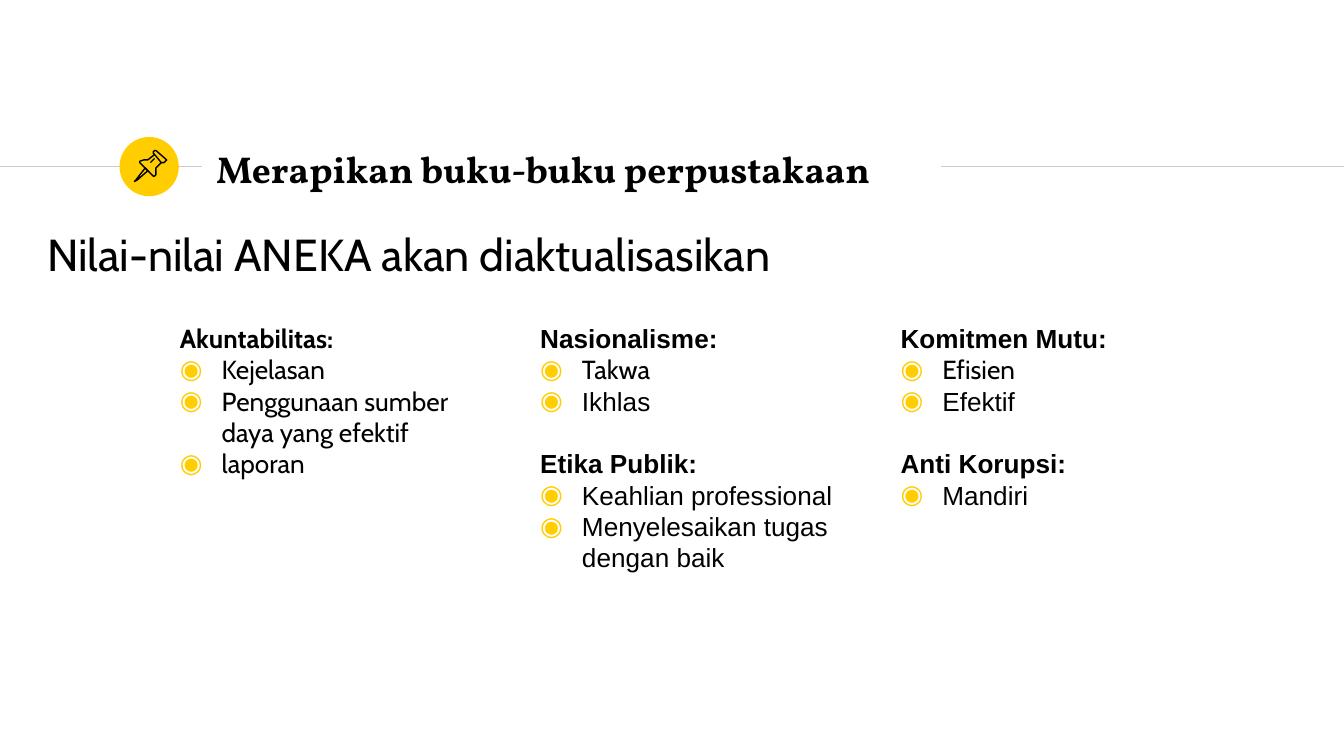
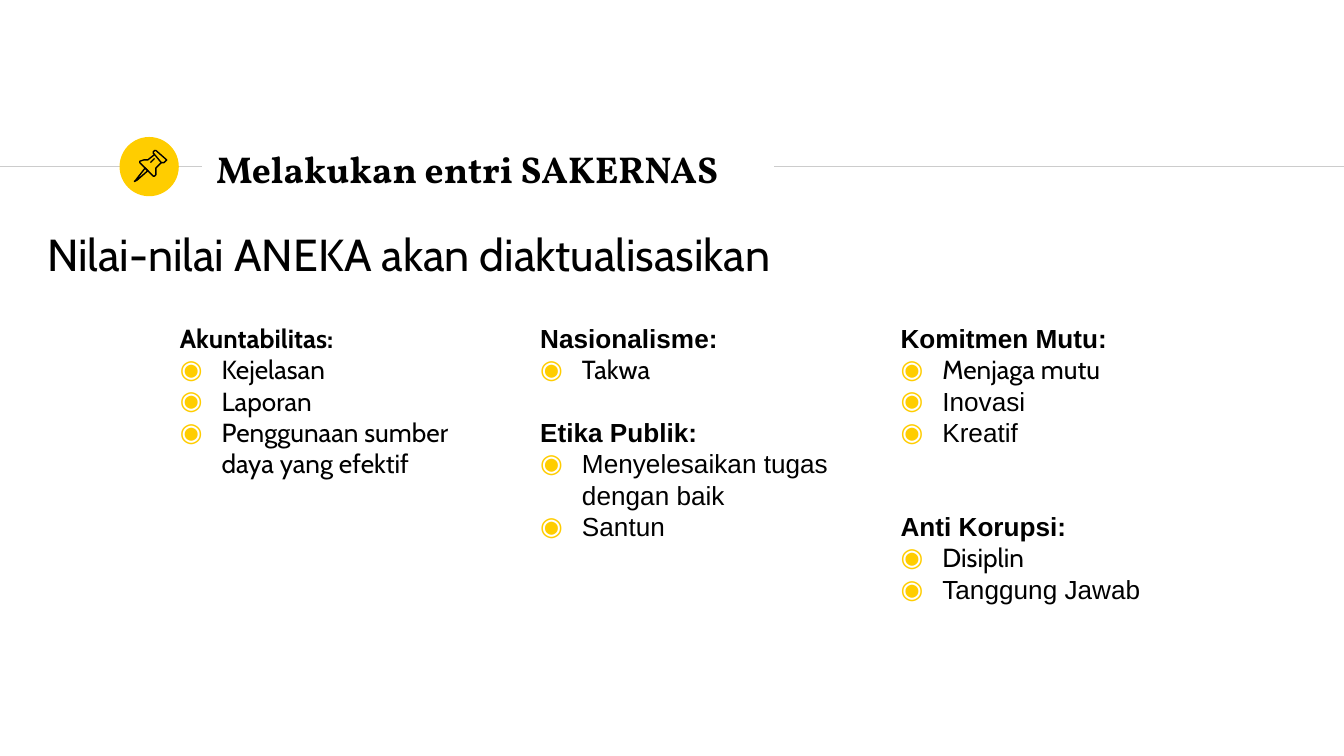
from dataclasses import dataclass, field

from lxml.etree import SubElement
from pptx import Presentation
from pptx.dml.color import RGBColor
from pptx.enum.shapes import MSO_CONNECTOR as Connector, MSO_SHAPE as Preset
from pptx.enum.text import MSO_ANCHOR as Anchor
from pptx.oxml.ns import qn
from pptx.util import Cm, Pt

COLORS = {"ink": "000000", "accent": "FFCD00", "rule": "CCCCCC", "paper": "FFFFFF"}
SERIF, SANS, PLAIN = "Vollkorn", "Cabin", "Arial"
LINE_PITCH = 16.8
INSET = 0.25
BULLET_INDENT = 0.79


@dataclass
class Box:
    """A rectangle in centimetres."""
    left: float
    top: float
    width: float
    height: float

    def lengths(self):
        return Cm(self.left), Cm(self.top), Cm(self.width), Cm(self.height)


@dataclass
class ValueGroup:
    """A heading and its bullets; gap counts the free lines above it."""
    heading: str
    sans: list = field(default_factory=list)
    plain: list = field(default_factory=list)
    heading_font: str = PLAIN
    gap: int = 0


HEADER = Box(0, 2.57, 25.4, 1.22)
SUBTITLE = Box(0, 4.04, 18.14, 1.55)
COLUMNS = [Box(3.15 + 6.81 * index, 5.84, width, height)
           for index, (width, height) in enumerate([(6.48, 6.02), (6.48, 6.02), (7.39, 5.51)])]

# Pushpin outlines on a grid of 44 units across the badge: points, closed
PIN_GRID = 44
PIN_PARTS = [
    ([(19, 23), (12, 32), (11, 33), (13, 32), (21, 25)], True),
    ([(26, 13), (31, 19), (33, 19), (34, 18), (35, 17), (27, 10), (26, 10), (25, 11),
      (25, 12)], True),
    ([(26, 13), (21, 17), (18, 17), (15, 18), (15, 19), (25, 29), (26, 29), (27, 28),
      (27, 23), (31, 19)], False),
    ([(23, 19), (26, 16)], False),
]

SLIDES = [
    {
        "title": "Merapikan buku-buku perpustakaan",
        "title_width": 13.92,
        "mask_width": 3.58,
        "columns": [
            [ValueGroup("Akuntabilitas:",
                        ["Kejelasan", "Penggunaan sumber daya yang efektif", "laporan"],
                        heading_font=SANS)],
            [ValueGroup("Nasionalisme:", ["Takwa"], ["Ikhlas"]),
             ValueGroup("Etika Publik:",
                        plain=["Keahlian professional", "Menyelesaikan tugas dengan baik"],
                        gap=1)],
            [ValueGroup("Komitmen Mutu:", ["Efisien"], ["Efektif"]),
             ValueGroup("Anti Korupsi:", plain=["Mandiri"], gap=1)],
        ],
    },
    {
        "title": "Melakukan entri SAKERNAS",
        "title_width": 14.3,
        "mask_width": 0.33,
        "columns": [
            [ValueGroup("Akuntabilitas:",
                        ["Kejelasan", "Laporan", "Penggunaan sumber daya yang efektif"],
                        heading_font=SANS)],
            [ValueGroup("Nasionalisme:", ["Takwa"]),
             ValueGroup("Etika Publik:",
                        plain=["Menyelesaikan tugas dengan baik", "Santun"], gap=1)],
            [ValueGroup("Komitmen Mutu:", ["Menjaga mutu"], ["Inovasi", "Kreatif"]),
             ValueGroup("Anti Korupsi:", ["Disiplin"], ["Tanggung Jawab"], gap=2)],
        ],
    },
]


def color(name):
    return RGBColor.from_string(COLORS[name])


def add_frame(page, box, anchor=Anchor.TOP):
    frame = page.shapes.add_textbox(*box.lengths()).text_frame
    frame.word_wrap = True
    frame.vertical_anchor = anchor
    frame.margin_left = frame.margin_right = Cm(INSET)
    frame.margin_top = frame.margin_bottom = Cm(INSET)
    return frame


def add_text(frame, text, *, font, size, bold=False, indent=0, bullet=None,
             pitch=None, before=0):
    """Write one paragraph, using the frame's empty first one if it is free."""
    first = frame.paragraphs[0]
    para = frame.add_paragraph() if first.runs else first
    properties = para._p.get_or_add_pPr()
    properties.set("marL", str(Cm(indent)))
    properties.set("indent", str(-Cm(indent) if bullet else 0))
    if bullet:
        tint = SubElement(properties, qn("a:buClr"))
        SubElement(tint, qn("a:srgbClr"), val=COLORS["accent"])
        SubElement(properties, qn("a:buFont"), typeface=SANS)
        SubElement(properties, qn("a:buChar"), char=bullet)
    if pitch:
        para.line_spacing = Pt(pitch)
    para.space_before = Pt(before)
    span = para.add_run()
    span.text = text
    span.font.name = font
    span.font.size = Pt(size)
    span.font.bold = bold
    span.font.color.rgb = color("ink")


def add_rule(page, start, end, height):
    rule = page.shapes.add_connector(Connector.STRAIGHT, Cm(start), Cm(height),
                                     Cm(end), Cm(height))
    rule.line.color.rgb = color("rule")
    rule.line.width = Pt(0.75)
    SubElement(rule._element.spPr, qn("a:effectLst"))


def add_filled(page, preset, box, fill):
    shape = page.shapes.add_shape(preset, *box.lengths())
    shape.shadow.inherit = False
    shape.fill.solid()
    shape.fill.fore_color.rgb = color(fill)
    shape.line.fill.background()
    return shape


def draw_pin(page, badge):
    group = page.shapes.add_group_shape()
    for (start, *others), closed in PIN_PARTS:
        builder = group.shapes.build_freeform(*start, scale=Cm(badge.width) / PIN_GRID)
        builder.add_line_segments(others, close=closed)
        part = builder.convert_to_shape(Cm(badge.left), Cm(badge.top))
        part.shadow.inherit = False
        part.fill.background()
        part.line.color.rgb = color("ink")
        part.line.width = Pt(0.75)


def draw_header(page, box, title, title_width, mask_width):
    """Rule across the page, broken by the pin badge and the title."""
    middle = box.top + 0.58
    badge = Box(box.left + 2.26, box.top + 0.02, 1.12, 1.12)
    add_rule(page, box.left, box.left + 3.81, middle)
    add_filled(page, Preset.OVAL, badge, "accent")
    add_rule(page, box.left + 14.63, box.left + box.width, middle)
    mask = add_filled(page, Preset.RECTANGLE,
                      Box(box.left + 14.17, box.top, mask_width, box.height), "paper")
    mask.line.color.rgb = color("paper")
    mask.line.width = Pt(2)
    frame = add_frame(page, Box(box.left + 3.84, box.top, title_width, box.height),
                      Anchor.MIDDLE)
    add_text(frame, title, font=SERIF, size=20, bold=True)
    draw_pin(page, badge)


def draw_column(page, box, groups):
    frame = add_frame(page, box)
    for group in groups:
        add_text(frame, group.heading, font=group.heading_font, size=14, bold=True,
                 pitch=LINE_PITCH, before=group.gap * LINE_PITCH)
        for font, items in ((SANS, group.sans), (PLAIN, group.plain)):
            for item in items:
                add_text(frame, item, font=font, size=14, indent=BULLET_INDENT,
                         bullet="◉", pitch=LINE_PITCH)


def draw_values_slide(page, content):
    draw_header(page, HEADER, content["title"], content["title_width"],
                content["mask_width"])
    add_text(add_frame(page, SUBTITLE), "Nilai-nilai ANEKA akan diaktualisasikan",
             font=SANS, size=24, indent=0.64)
    for box, groups in zip(COLUMNS, content["columns"]):
        draw_column(page, box, groups)


def main():
    deck = Presentation()
    deck.slide_width, deck.slide_height = Cm(25.4), Cm(14.29)
    blank = deck.slide_layouts[6]
    for content in SLIDES:
        draw_values_slide(deck.slides.add_slide(blank), content)
    deck.save("out.pptx")


if __name__ == "__main__":
    main()
